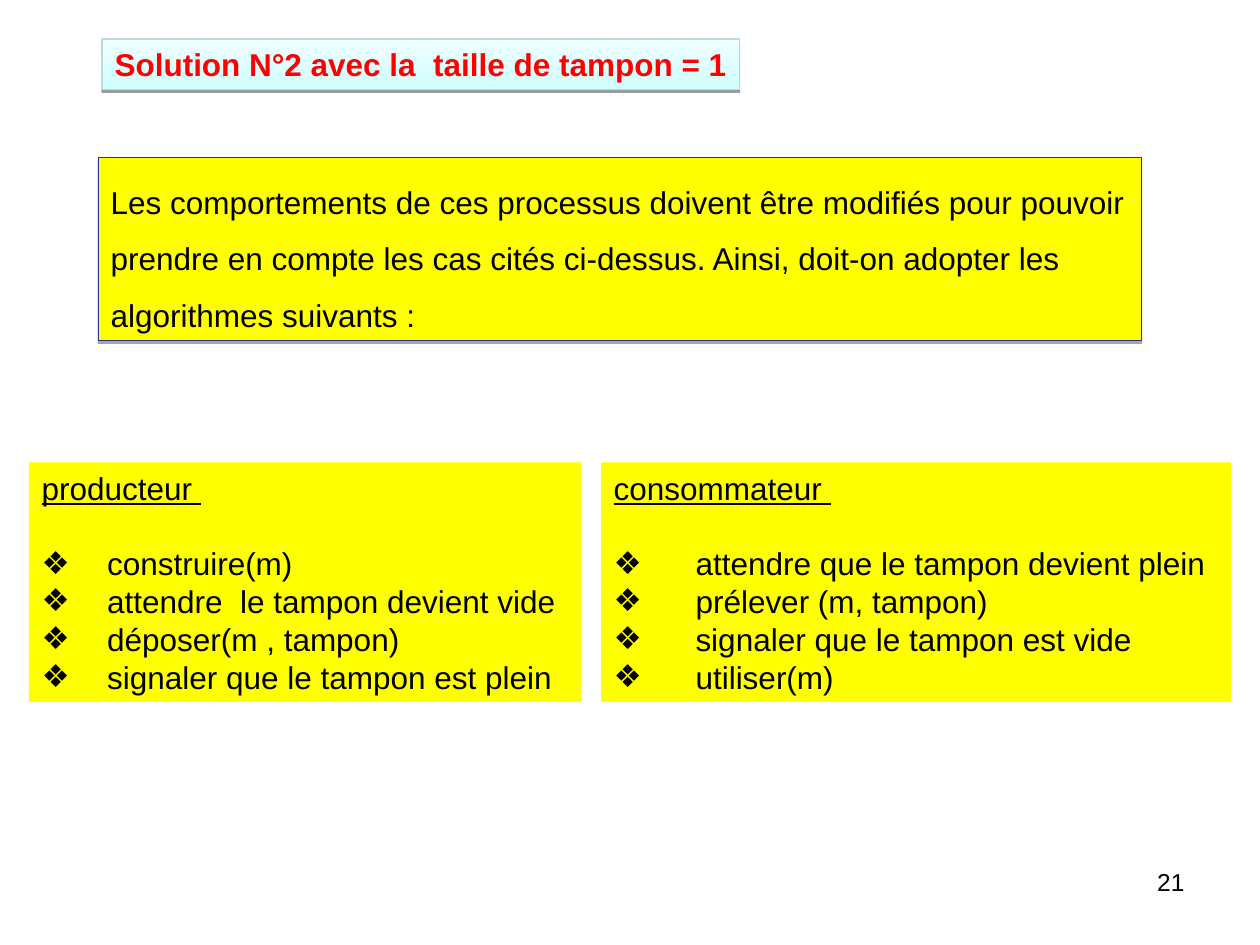
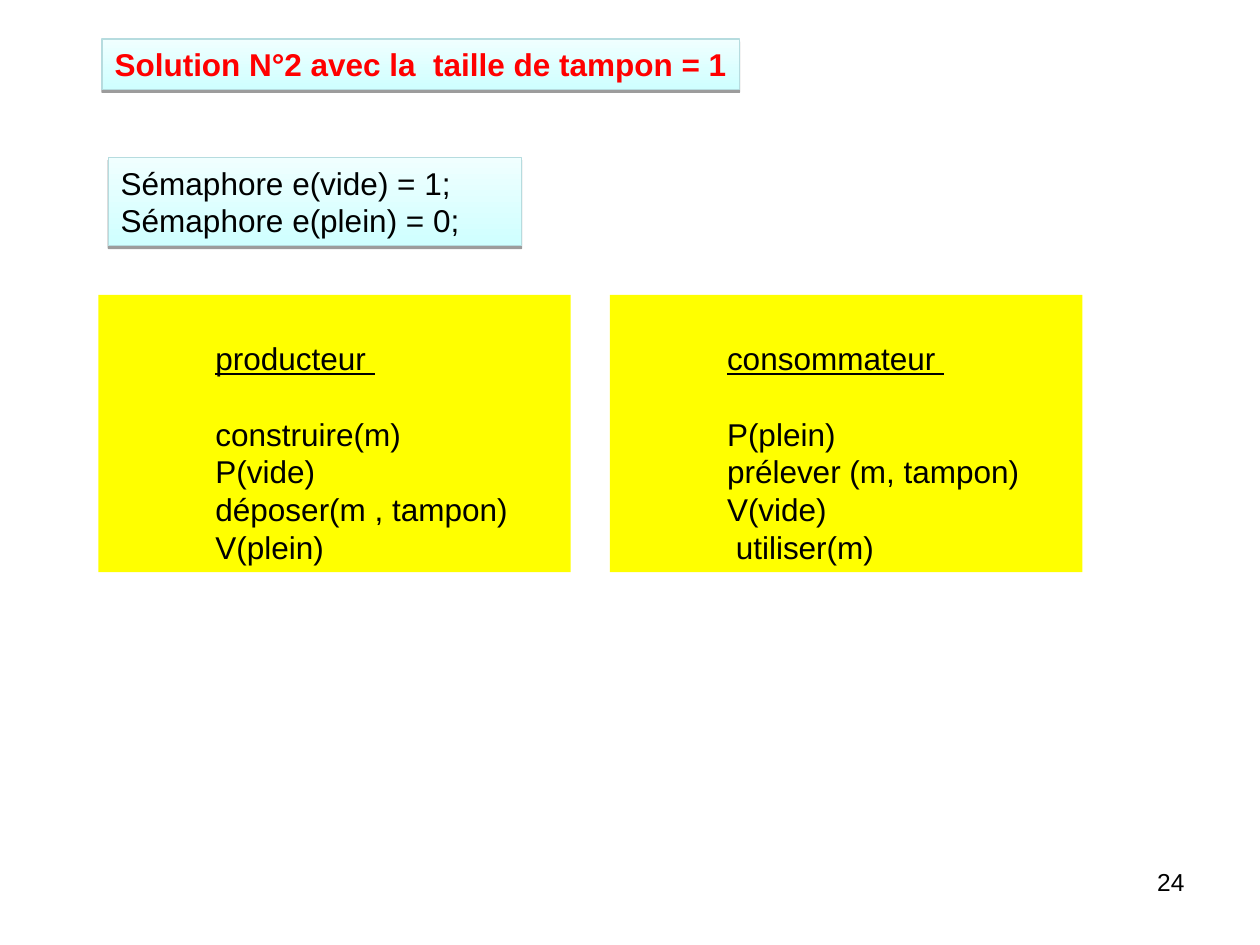
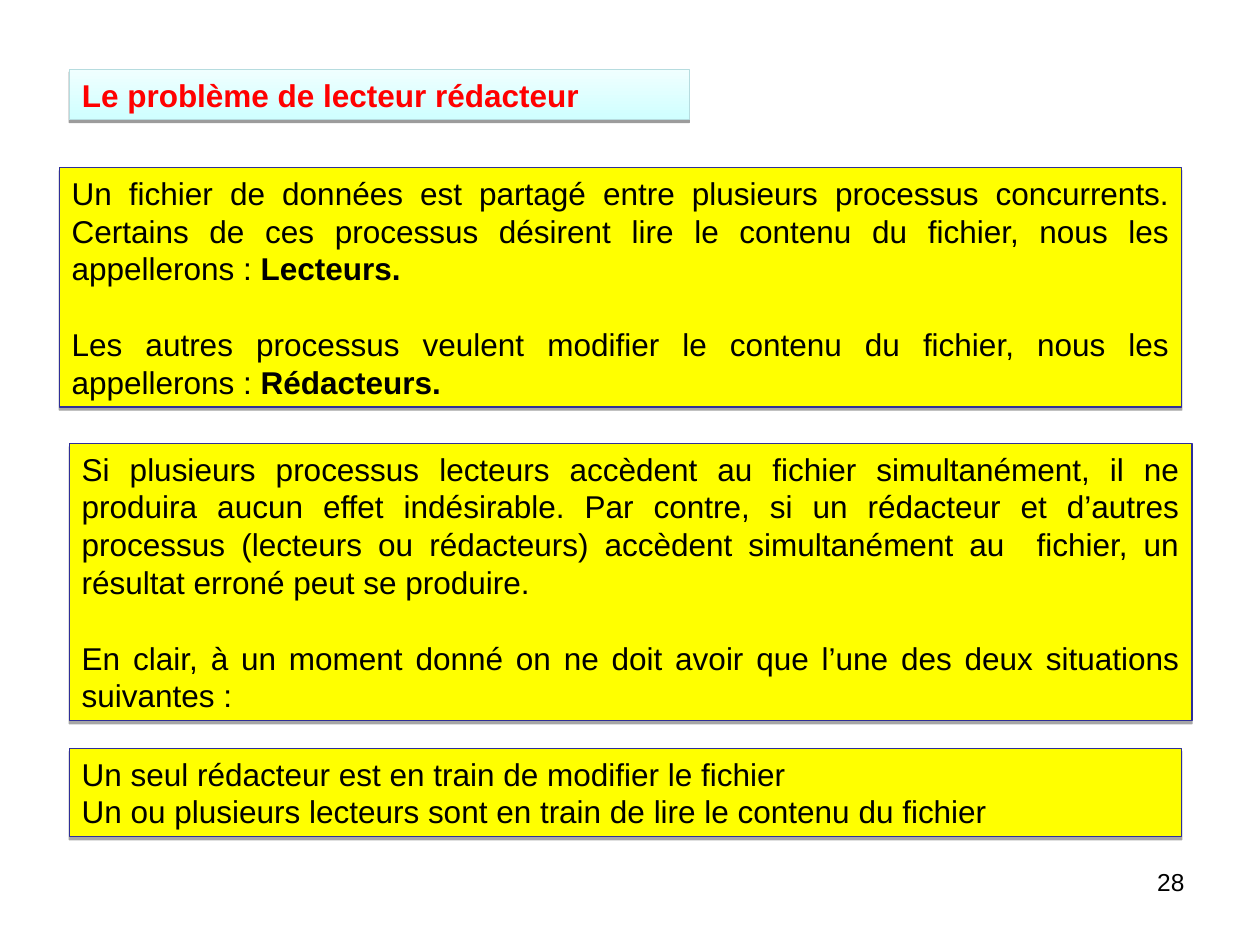
from dataclasses import dataclass

from lxml.etree import SubElement
from pptx import Presentation
from pptx.dml.color import RGBColor
from pptx.enum.shapes import MSO_SHAPE
from pptx.enum.text import MSO_ANCHOR, MSO_AUTO_SIZE, PP_ALIGN
from pptx.oxml.ns import qn
from pptx.util import Inches, Pt


@dataclass(frozen=True)
class Theme:
    font: str = "Arial"
    text_size: float = 18
    number_size: float = 14
    text: str = "000000"
    title: str = "FF0000"
    yellow: str = "FFFF00"
    navy: str = "2F2F98"
    sky: tuple = ("F0FFFF", "CFFFFF")
    sky_line: str = "B6DCDF"
    line_width: float = 0.75
    line_height: float = 0.3
    inset_x: float = 0.1
    inset_y: float = 0.05


THEME = Theme()
WIDTH, HEIGHT = 10, 7.5
TWO_CONTENT, TITLE_ONLY = 3, 5
BLANK_LINE = Pt(21.6)
BULLET = "❖"
TAMPON_TITLE = {"text": "Solution N°2 avec la  taille de tampon = 1",
                "left": 0.81, "top": 0.31, "width": 5.06}

# Each paragraph is a list of (text, run format); "lines" is the number of text lines in a box.
SLIDES = [
    {
        "number": 21,
        "title": TAMPON_TITLE,
        "boxes": [
            {"left": 0.78, "top": 1.25, "width": 8.28, "lines": 3, "style": "note",
             "format": {"line_spacing": 1.5},
             "paragraphs": [[("Les comportements de ces processus doivent être modifiés pour "
                              "pouvoir prendre en compte les cas cités ci-dessus. Ainsi, "
                              "doit-on adopter les algorithmes suivants :", {})]]},
        ],
        "columns": {
            "left": 0.23, "top": 3.67, "widths": (4.38, 5), "gap": 0.16, "lines": 6,
            "indents": (0.52, 0.65), "bullet": BULLET, "blank_top": 0,
            "lists": [
                ("producteur ", ["construire(m)", "attendre  le tampon devient vide",
                                 "déposer(m , tampon)", "signaler que le tampon est plein"]),
                ("consommateur ", ["attendre que le tampon devient plein",
                                   "prélever (m, tampon)", "signaler que le tampon est vide",
                                   "utiliser(m)"]),
            ],
        },
    },
    {
        "number": 24,
        "title": TAMPON_TITLE,
        "boxes": [
            {"left": 0.86, "top": 1.25, "width": 3.28, "lines": 2, "style": "sky",
             "paragraphs": [[("Sémaphore e(vide) = 1;", {})],
                            [("Sémaphore e(plein) = 0;", {})]]},
        ],
        "columns": {
            "left": 0.78, "top": 2.34, "widths": (3.75, 3.75), "gap": 0.31, "lines": 7,
            "indents": (0.83, 0.83), "bullet": None, "blank_top": 1,
            "lists": [
                ("producteur ", ["construire(m)", "P(vide)", "déposer(m , tampon)",
                                 "V(plein)"]),
                ("consommateur ", ["P(plein)", "prélever (m, tampon)", "V(vide)",
                                   " utiliser(m)"]),
            ],
        },
    },
    {
        "number": 28,
        "title": {"text": "Le problème de lecteur rédacteur",
                  "left": 0.55, "top": 0.55, "width": 4.92},
        "boxes": [
            {"left": 0.47, "top": 1.33, "width": 8.91, "lines": 6, "style": "note",
             "format": {"alignment": PP_ALIGN.JUSTIFY}, "gap": BLANK_LINE,
             "paragraphs": [
                 [("Un fichier de données est partagé entre plusieurs processus concurrents. "
                   "Certains de ces processus désirent lire le contenu du fichier, nous les "
                   "appellerons : ", {}), ("Lecteurs.", {"bold": True})],
                 [("Les autres processus veulent modifier le contenu du fichier, nous les "
                   "appellerons : ", {}), ("Rédacteurs.", {"bold": True})]]},
            {"left": 0.55, "top": 3.52, "width": 8.91, "lines": 7, "style": "note",
             "format": {"alignment": PP_ALIGN.JUSTIFY}, "gap": BLANK_LINE,
             "paragraphs": [
                 [("Si plusieurs processus lecteurs accèdent au fichier simultanément, il ne "
                   "produira aucun effet indésirable. Par contre, si un rédacteur et d’autres "
                   "processus (lecteurs ou rédacteurs) accèdent simultanément au  fichier, un "
                   "résultat erroné peut se produire.", {})],
                 [("En clair, à un moment donné on ne doit avoir que l’une des deux situations "
                   "suivantes :", {})]]},
            {"left": 0.55, "top": 5.94, "width": 8.83, "lines": 2, "style": "note",
             "paragraphs": [
                 [("Un seul rédacteur est en train de modifier le fichier", {})],
                 [("Un ou plusieurs lecteurs sont en train de lire le contenu du fichier", {})]]},
        ],
    },
]


def set_attributes(target, values):
    for name, value in values.items():
        setattr(target, name, value)


def box_height(lines, spacing=1):
    return lines * THEME.line_height * spacing + 2 * THEME.inset_y


def place(shape, left, top, width, height):
    names = ("left", "top", "width", "height")
    set_attributes(shape, dict(zip(names, map(Inches, (left, top, width, height)))))


def add_shadow(shape, opacity, distance):
    """Give the shape a hard shadow straight below it."""
    effects = shape._element.spPr.find(qn("a:effectLst"))
    shadow = SubElement(effects, qn("a:outerShdw"), blurRad="0", dist=str(Pt(distance)),
                        dir="5400000", algn="ctr", rotWithShape="0")
    color = SubElement(shadow, qn("a:srgbClr"), val="000000")
    SubElement(color, qn("a:alpha"), val=str(opacity * 1000))


def paint(shape, style):
    """Fill and outline a shape as "sky", "note" or "plain"."""
    shape.shadow.inherit = False
    if style == "sky":
        shape.fill.gradient()
        shape.fill.gradient_angle = 270
        for stop, color in zip(shape.fill.gradient_stops, THEME.sky):
            stop.color.rgb = RGBColor.from_string(color)
        add_shadow(shape, 38, 1.6)
    else:
        shape.fill.solid()
        shape.fill.fore_color.rgb = RGBColor.from_string(THEME.yellow)
    if style == "note":
        add_shadow(shape, 35, 1.8)
    if style == "plain":
        shape.line.fill.background()
    else:
        line_color = THEME.sky_line if style == "sky" else THEME.navy
        shape.line.color.rgb = RGBColor.from_string(line_color)
        shape.line.width = Pt(THEME.line_width)


def set_bullet(paragraph, indent, bullet):
    """Indent a paragraph, with its bullet hanging at the left edge if it has one."""
    properties = paragraph._p.get_or_add_pPr()
    properties.set("marL", str(Inches(indent)))
    properties.set("indent", str(-Inches(indent) if bullet else 0))
    if bullet:
        SubElement(properties, qn("a:buChar"), char=bullet)
    else:
        SubElement(properties, qn("a:buNone"))


def prepare_frame(shape, wrap=True, blank_top=0):
    frame = shape.text_frame
    set_attributes(frame, {
        "word_wrap": wrap, "auto_size": MSO_AUTO_SIZE.NONE, "vertical_anchor": MSO_ANCHOR.TOP,
        "margin_left": Inches(THEME.inset_x), "margin_right": Inches(THEME.inset_x),
        "margin_top": Inches(THEME.inset_y + blank_top * THEME.line_height),
        "margin_bottom": Inches(THEME.inset_y)})
    return frame


def write(paragraph, runs, size=THEME.text_size, color=THEME.text, indent=0, bullet=None,
          **paragraph_format):
    set_bullet(paragraph, indent, bullet)
    set_attributes(paragraph, {"alignment": PP_ALIGN.LEFT, "space_before": Pt(0),
                               **paragraph_format})
    for text, run_format in runs:
        run = paragraph.add_run()
        run.text = text
        set_attributes(run.font, {"name": THEME.font, "size": Pt(size), **run_format})
        run.font.color.rgb = RGBColor.from_string(color)


def paragraph_at(frame, index):
    return frame.add_paragraph() if index else frame.paragraphs[0]


def fill_title(slide, title):
    shape = slide.shapes.title
    place(shape, title["left"], title["top"], title["width"], box_height(1))
    paint(shape, "sky")
    frame = prepare_frame(shape, wrap=False)
    write(frame.paragraphs[0], [(title["text"], {"bold": True})], color=THEME.title)


def add_box(slide, box):
    paragraph_format = box.get("format", {})
    height = box_height(box["lines"], paragraph_format.get("line_spacing", 1))
    shape = slide.shapes.add_shape(MSO_SHAPE.RECTANGLE, 0, 0, 0, 0)
    place(shape, box["left"], box["top"], box["width"], height)
    paint(shape, box["style"])
    frame = prepare_frame(shape)
    for index, runs in enumerate(box["paragraphs"]):
        gap = box.get("gap", Pt(0)) if index else Pt(0)
        write(paragraph_at(frame, index), runs, space_before=gap, **paragraph_format)


def fill_columns(slide, columns):
    left, bullet = columns["left"], columns["bullet"]
    bodies = list(slide.placeholders)[1:3]
    for shape, width, indent, (heading, steps) in zip(
            bodies, columns["widths"], columns["indents"], columns["lists"]):
        place(shape, left, columns["top"], width, box_height(columns["lines"]))
        left += width + columns["gap"]
        paint(shape, "plain")
        frame = prepare_frame(shape, blank_top=columns["blank_top"])
        write(frame.paragraphs[0], [(heading, {"underline": True})],
              indent=0 if bullet else indent)
        for index, step in enumerate(steps):
            write(frame.add_paragraph(), [(step, {})], indent=indent, bullet=bullet,
                  space_before=Pt(0) if index else BLANK_LINE)


def add_number(slide, number):
    shape = slide.shapes.add_textbox(0, 0, 0, 0)
    place(shape, 7.17, 6.83, 2.33, 0.52)
    frame = prepare_frame(shape)
    write(frame.paragraphs[0], [(str(number), {})], size=THEME.number_size,
          alignment=PP_ALIGN.RIGHT)


def main():
    presentation = Presentation()
    presentation.slide_width, presentation.slide_height = Inches(WIDTH), Inches(HEIGHT)
    for content in SLIDES:
        layout = TWO_CONTENT if "columns" in content else TITLE_ONLY
        slide = presentation.slides.add_slide(presentation.slide_layouts[layout])
        fill_title(slide, content["title"])
        for box in content["boxes"]:
            add_box(slide, box)
        if "columns" in content:
            fill_columns(slide, content["columns"])
        add_number(slide, content["number"])
    presentation.save("out.pptx")


if __name__ == "__main__":
    main()
